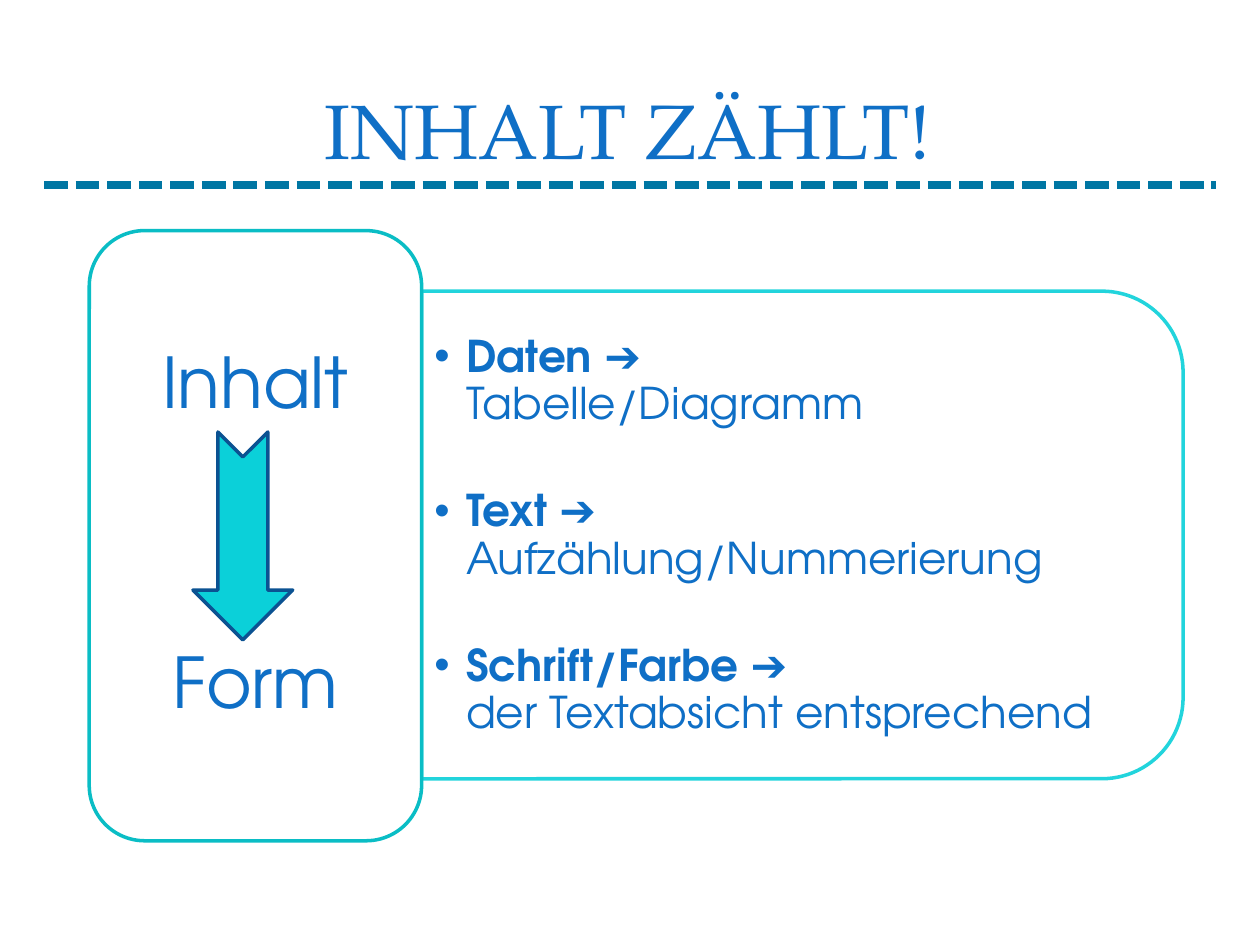
from lxml.etree import SubElement
from pptx import Presentation
from pptx.dml.color import RGBColor
from pptx.enum.dml import MSO_LINE_DASH_STYLE as Dash
from pptx.enum.shapes import MSO_CONNECTOR, MSO_SHAPE as Shape
from pptx.enum.text import MSO_ANCHOR as Anchor, MSO_AUTO_SIZE as AutoSize, PP_ALIGN as Align
from pptx.oxml.ns import qn
from pptx.util import Cm, Pt

# Content
TITLE = "INHALT ZÄHLT!"
STEPS = ["Inhalt", "Form"]
POINTS = [
    ("Daten ", "Tabelle/Diagramm"),
    ("Text ", "Aufzählung/Nummerierung"),
    ("Schrift/Farbe ", "der Textabsicht entsprechend"),
]

# Style
SERIF, SANS = "TeX Gyre Pagella", "TeX Gyre Adventor"
BLUE, DARK_BLUE, WHITE = "0F6FC6", "0B5292", "FFFFFF"
AQUA, TEAL, PETROL = "0BD0D9", "0ABDC5", "0076A3"
STEP_GAP, POINT_GAP = Pt(128), Pt(34.3)
INDENT = Cm(0.64)

# Left, top, width, height in cm
TITLE_BOX = (1.19, 1.14, 22.94, 2.9)
STEPS_BOX = (1.8, 4.65, 6.7, 12.3)
PANEL_BOX = (8.5, 5.87, 15.35, 9.83)
POINTS_BOX = (8.5, 6.38, 14.86, 8.86)
ARROW_BOX = (3.89, 8.71, 2.01, 4.19)
RULE_LEFT, RULE_RIGHT, RULE_TOP = 0.89, 24.51, 3.73


def color(target, hex_code):
    target.rgb = RGBColor.from_string(hex_code)


def style_font(font, name, size, bold=False):
    font.name, font.size, font.bold = name, Pt(size), bold
    color(font.color, BLUE)


def place(item, box):
    item.left, item.top, item.width, item.height = (Cm(v) for v in box)


def add_outlined(kind, box, fill, line, turned=False):
    """Add a shape; a turned one is rotated by 90° and still fills its box."""
    left, top, width, height = box
    if turned:
        left, top = left + (width - height) / 2, top + (height - width) / 2
        width, height = height, width
    item = slide.shapes.add_shape(kind, *(Cm(v) for v in (left, top, width, height)))
    item.rotation = 90 if turned else 0
    item.shadow.inherit = False
    item.fill.solid()
    color(item.fill.fore_color, fill)
    color(item.line.color, line)
    item.line.width = Pt(2)
    return item


prs = Presentation()
prs.slide_width, prs.slide_height = Cm(25.4), Cm(19.05)
slide = prs.slides.add_slide(prs.slide_layouts[1])

# Title and dotted rule
title = slide.shapes.title
place(title, TITLE_BOX)
title.text_frame.text = TITLE
title.text_frame.vertical_anchor = Anchor.MIDDLE
title.text_frame.paragraphs[0].alignment = Align.CENTER
style_font(title.text_frame.paragraphs[0].runs[0].font, SERIF, 44)

rule = slide.shapes.add_connector(
    MSO_CONNECTOR.STRAIGHT, Cm(RULE_LEFT), Cm(RULE_TOP), Cm(RULE_RIGHT), Cm(RULE_TOP))
color(rule.line.color, PETROL)
rule.line.width = Pt(4.5)
rule.line.dash_style = Dash.ROUND_DOT
rule.line.dash_style = Dash.SQUARE_DOT
SubElement(rule.element.spPr, qn("a:effectLst"))

# Panel behind the bullet points
panel = add_outlined(Shape.ROUND_2_SAME_RECTANGLE, PANEL_BOX, WHITE, AQUA, turned=True)
for shade in panel.element.spPr.iter(qn("a:srgbClr")):
    SubElement(shade, qn("a:alpha"), val="90000")

# Bullet points
points = slide.placeholders[1]
points.element.addprevious(panel.element)
place(points, POINTS_BOX)
frame = points.text_frame
frame.auto_size = AutoSize.NONE
frame.vertical_anchor = Anchor.MIDDLE
for i, (topic, form) in enumerate(POINTS):
    point = frame.add_paragraph() if i else frame.paragraphs[0]
    point.line_spacing = 0.9
    point.space_before = POINT_GAP if i else Pt(0)
    props = point._p.get_or_add_pPr()
    props.set("marL", str(INDENT))
    props.set("indent", str(-INDENT))
    for words, bold in ((topic, True), ("➔", False), (form, False)):
        if words == form:
            point.add_line_break()
        run = point.add_run()
        run.text = words
        style_font(run.font, SANS, 25, bold)

# Steps from content to form
steps = add_outlined(Shape.ROUNDED_RECTANGLE, STEPS_BOX, WHITE, TEAL)
steps.text_frame.text = "\n".join(STEPS)
steps.text_frame.word_wrap = True
steps.text_frame.vertical_anchor = Anchor.MIDDLE
for i, step in enumerate(steps.text_frame.paragraphs):
    step.alignment = Align.CENTER
    step.line_spacing = 0.9
    step.space_before = STEP_GAP if i else Pt(0)
    style_font(step.runs[0].font, SANS, 40)

add_outlined(Shape.NOTCHED_RIGHT_ARROW, ARROW_BOX, AQUA, DARK_BLUE, turned=True)

prs.save("out.pptx")
